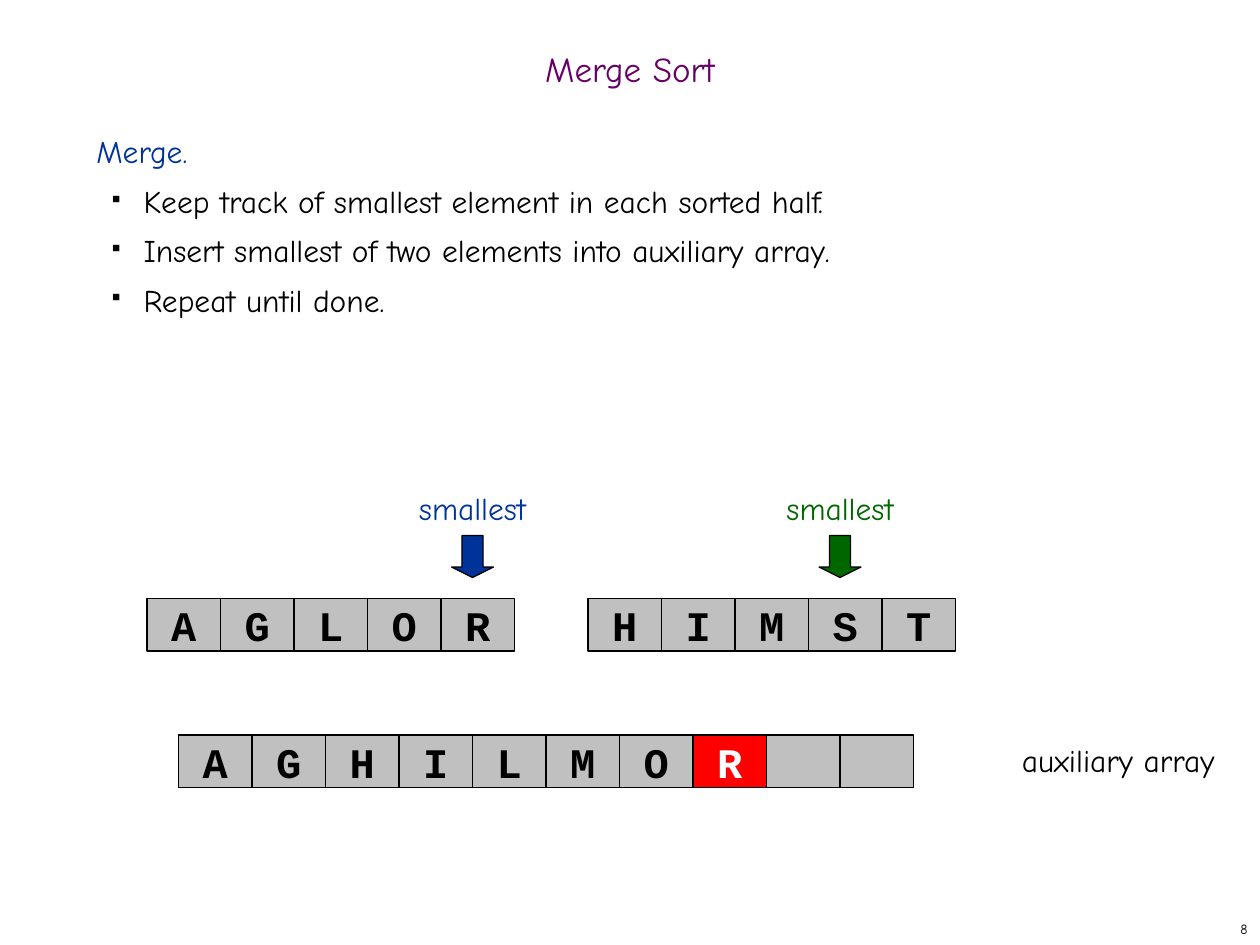
from lxml import etree
from pptx import Presentation
from pptx.dml.color import RGBColor
from pptx.enum.shapes import MSO_SHAPE
from pptx.enum.text import MSO_ANCHOR, MSO_AUTO_SIZE, PP_ALIGN
from pptx.oxml.ns import qn
from pptx.util import Emu, Pt

RECT, DOWN_ARROW = MSO_SHAPE.RECTANGLE, MSO_SHAPE.DOWN_ARROW
LEFT, CENTER, RIGHT = PP_ALIGN.LEFT, PP_ALIGN.CENTER, PP_ALIGN.RIGHT
TOP, MIDDLE = MSO_ANCHOR.TOP, MSO_ANCHOR.MIDDLE
NO_FIT = MSO_AUTO_SIZE.NONE

PX = 7620  # EMU per px, 120 px to the inch
CELL_W, CELL_H = 70, 50
COLORS = {
    "black": "000000", "white": "FFFFFF", "cell": "C0C0C0", "red": "FF0000",
    "blue": "003399", "green": "006600", "purple": "660066",
}


def px(*values):
    return [Emu(v * PX) for v in values]


def rgb(name):
    return RGBColor.from_string(COLORS[name])


def write(p, text, size=18, color="black", font="Comic Neue", bold=False,
          align=LEFT, spacing=None, before=0):
    p.alignment = align
    p.space_before = Pt(before)
    if spacing:
        p.line_spacing = spacing
    r = p.add_run()
    r.text = text
    r.font.size, r.font.name, r.font.bold = Pt(size), font, bold
    r.font.color.rgb = rgb(color)


def add_bullet(p, indent, hang):
    pPr = p._p.get_or_add_pPr()
    pPr.set("marL", str(indent * PX))
    pPr.set("indent", str(-hang * PX))
    clr = etree.SubElement(pPr, qn("a:buClr"))
    etree.SubElement(clr, qn("a:srgbClr"), val=COLORS["black"])
    etree.SubElement(pPr, qn("a:buSzPct"), val="35000")
    etree.SubElement(pPr, qn("a:buChar"), char="■")


class SlideBuilder:
    def __init__(self, prs):
        self.s = prs.slides.add_slide(prs.slide_layouts[5])

    def title(self, text, x, y, w, h):
        sp = self.s.shapes.title
        sp.left, sp.top, sp.width, sp.height = px(x, y, w, h)
        tf = sp.text_frame
        tf.auto_size, tf.vertical_anchor = NO_FIT, MIDDLE
        write(tf.paragraphs[0], text, size=20, color="purple", align=CENTER,
              spacing=0.7)

    def frame(self, x, y, w, h, anchor=TOP):
        tf = self.s.shapes.add_textbox(*px(x, y, w, h)).text_frame
        tf.word_wrap, tf.vertical_anchor = True, anchor
        return tf

    def label(self, text, x, y, w, h, anchor=TOP, **fmt):
        write(self.frame(x, y, w, h, anchor).paragraphs[0], text, **fmt)

    def body(self, heading, bullets, x, y, w, h):
        tf = self.frame(x, y, w, h)
        write(tf.paragraphs[0], heading, color="blue", before=4.5)
        for text in bullets:
            p = tf.add_paragraph()
            write(p, text, spacing=1.1, before=4.5)
            add_bullet(p, indent=45, hang=30)

    def shape(self, kind, x, y, w, h, fill):
        sp = self.s.shapes.add_shape(kind, *px(x, y, w, h))
        sp.shadow.inherit = False
        sp.fill.solid()
        sp.fill.fore_color.rgb = rgb(fill)
        sp.line.color.rgb = rgb("black")
        sp.line.width = Pt(0.75)
        return sp

    def array(self, letters, x, y, length, highlight=None):
        for i, letter in enumerate(letters.ljust(length)):
            marked = i == highlight
            sp = self.shape(RECT, x + i * CELL_W, y, CELL_W, CELL_H,
                            "red" if marked else "cell")
            if letter.strip():
                tf = sp.text_frame
                tf.word_wrap, tf.vertical_anchor = False, MIDDLE
                write(tf.paragraphs[0], letter, size=24, font="Courier New",
                      bold=True, align=CENTER,
                      color="white" if marked else "black")

    def pointer(self, text, center, y, color):
        self.label(text, center - 125, y, 250, 48, color=color, align=CENTER)
        sp = self.shape(DOWN_ARROW, center - 20, y + 50, 40, 40, color)
        sp.adjustments[0], sp.adjustments[1] = 0.5, 0.25


def main():
    prs = Presentation()
    prs.slide_width, prs.slide_height = px(1200, 900)
    slide = SlideBuilder(prs)

    # Title and explanation
    slide.title("Merge Sort", 0, 30, 1200, 80)
    slide.body("Merge.", [
        "Keep track of smallest element in each sorted half.",
        "Insert smallest of two elements into auxiliary array.",
        "Repeat until done.",
    ], 80, 120, 1030, 710)

    # Sorted halves with their current smallest elements
    slide.pointer("smallest", 450, 460, "blue")
    slide.pointer("smallest", 800, 460, "green")
    slide.array("AGLOR", 140, 570, length=5)
    slide.array("HIMST", 560, 570, length=5)

    # Auxiliary array, newest element highlighted
    slide.array("AGHILMOR", 170, 700, length=10, highlight=7)
    slide.label("auxiliary array", 950, 700, 230, 48, align=CENTER)

    # Slide number
    slide.label("8", 950, 870, 250, 30, anchor=MIDDLE, size=8, align=RIGHT)

    prs.save("out.pptx")


if __name__ == "__main__":
    main()
